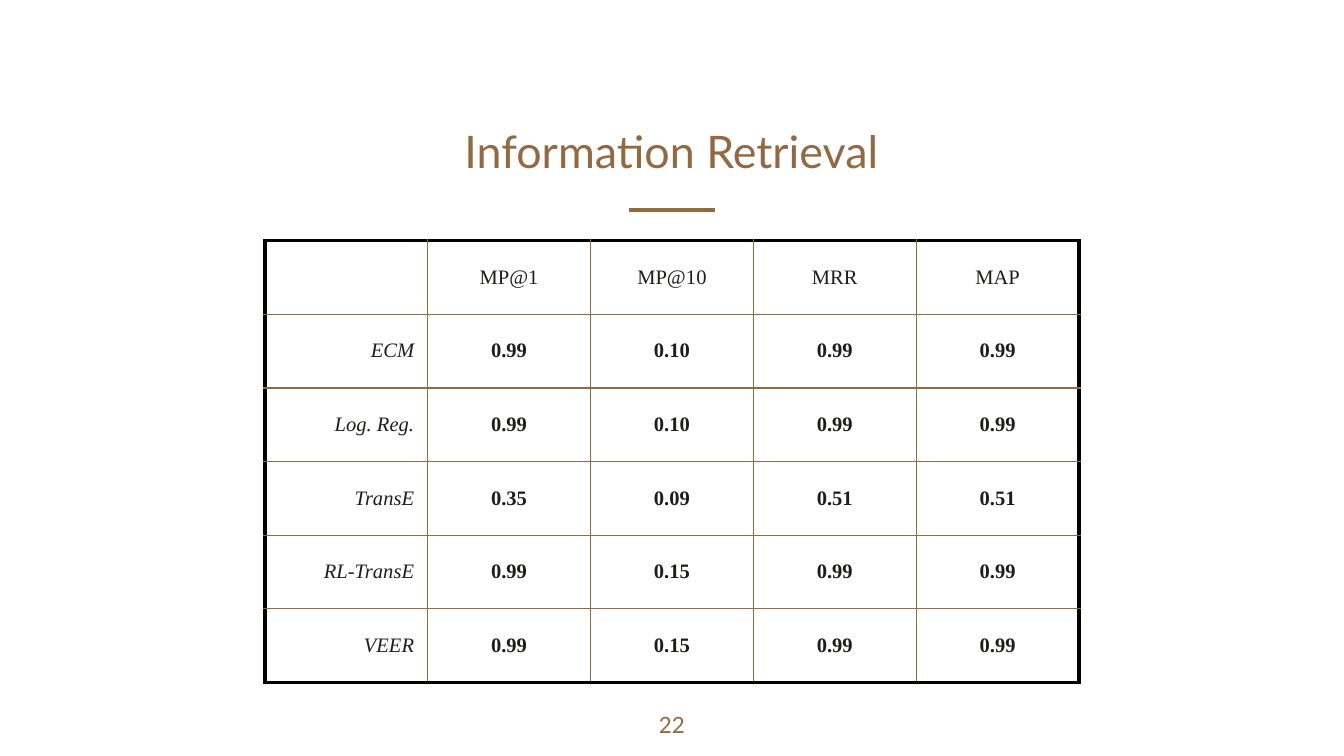
from lxml.etree import SubElement
from pptx import Presentation
from pptx.dml.color import RGBColor
from pptx.enum.shapes import MSO_CONNECTOR
from pptx.enum.text import MSO_ANCHOR, PP_ALIGN
from pptx.oxml import parse_xml
from pptx.oxml.ns import nsdecls, qn
from pptx.util import Inches, Pt

# Content
TITLE = "Information Retrieval"
PAGE_NUMBER = "22"
ROWS = [
    ("", "MP@1", "MP@10", "MRR", "MAP"),
    ("ECM", "0.99", "0.10", "0.99", "0.99"),
    ("Log. Reg.", "0.99", "0.10", "0.99", "0.99"),
    ("TransE", "0.35", "0.09", "0.51", "0.51"),
    ("RL-TransE", "0.99", "0.15", "0.99", "0.99"),
    ("VEER", "0.99", "0.15", "0.99", "0.99"),
]

# Style
SLIDE_WIDTH = 10
SLIDE_HEIGHT = SLIDE_WIDTH * 9 / 16
BROWN, BLACK, INK, WHITE = "926940", "000000", "1D1D1B", "FFFFFF"
INNER_BORDER, OUTER_BORDER = (BROWN, 0.75), (BLACK, 2.25)
TABLE_LEFT, TABLE_TOP, TABLE_WIDTH, TABLE_HEIGHT = 1.97, 1.79, 6.06, 3.29


def color(hex_code):
    return RGBColor.from_string(hex_code)


def style_font(paragraph, name, size, hex_code):
    font = paragraph.font
    font.name, font.size = name, Pt(size)
    font.color.rgb = color(hex_code)


def fill_frame(frame, text, size, anchor):
    """Write one centred brown line with equal insets."""
    frame.word_wrap = True
    frame.vertical_anchor = anchor
    frame.margin_left = frame.margin_right = Inches(0.1)
    frame.margin_top = frame.margin_bottom = Inches(0.1)
    frame.text = text
    paragraph = frame.paragraphs[0]
    paragraph.alignment = PP_ALIGN.CENTER
    style_font(paragraph, "Lato", size, BROWN)


def set_borders(cell, outer_sides):
    """Give all four sides a line; sides on the table edge are heavy."""
    properties = cell._tc.get_or_add_tcPr()
    for index, side in enumerate("LRTB"):
        hex_code, width = OUTER_BORDER if side in outer_sides else INNER_BORDER
        line = parse_xml(
            f'<a:ln{side} {nsdecls("a")} w="{Pt(width)}"><a:solidFill>'
            f'<a:srgbClr val="{hex_code}"/></a:solidFill></a:ln{side}>')
        properties.insert(index, line)


presentation = Presentation()
presentation.slide_width = Inches(SLIDE_WIDTH)
presentation.slide_height = Inches(SLIDE_HEIGHT)
slide = presentation.slides.add_slide(presentation.slide_layouts[5])
slide.background.fill.solid()
slide.background.fill.fore_color.rgb = color(WHITE)

# Title
title = slide.shapes.title
title.left, title.top = Inches(2.06), Inches(0.48)
title.width, title.height = Inches(5.87), Inches(0.94)
fill_frame(title.text_frame, TITLE, 24, MSO_ANCHOR.BOTTOM)

# Rule under the title
rule = slide.shapes.add_connector(
    MSO_CONNECTOR.STRAIGHT, Inches(4.68), Inches(1.56), Inches(5.32), Inches(1.56))
rule.line.color.rgb = color(BROWN)
rule.line.width = Pt(2.25)
SubElement(rule._element.spPr, qn("a:effectLst"))

# Results table
last_row, last_column = len(ROWS) - 1, len(ROWS[0]) - 1
table = slide.shapes.add_table(
    len(ROWS), len(ROWS[0]), Inches(TABLE_LEFT), Inches(TABLE_TOP),
    Inches(TABLE_WIDTH), Inches(TABLE_HEIGHT)).table
table.first_row = table.horz_banding = False

for row, values in enumerate(ROWS):
    for column, value in enumerate(values):
        cell = table.cell(row, column)
        cell.fill.background()
        cell.vertical_anchor = MSO_ANCHOR.MIDDLE
        cell.margin_left = cell.margin_right = Inches(0.1)
        cell.margin_top = cell.margin_bottom = Inches(0.07)
        cell.text = value
        paragraph = cell.text_frame.paragraphs[0]
        paragraph.alignment = PP_ALIGN.CENTER if column else PP_ALIGN.RIGHT
        style_font(paragraph, "Times New Roman", 11, INK)
        paragraph.font.italic = column == 0
        paragraph.font.bold = row > 0 and column > 0
        edges = {"L": column == 0, "R": column == last_column,
                 "T": row == 0, "B": row == last_row}
        set_borders(cell, [side for side, is_outer in edges.items() if is_outer])

# Page number
page_number = slide.shapes.add_textbox(
    Inches(4.7), Inches(5.19), Inches(0.6), Inches(0.43))
fill_frame(page_number.text_frame, PAGE_NUMBER, 12, MSO_ANCHOR.TOP)

presentation.save("out.pptx")
